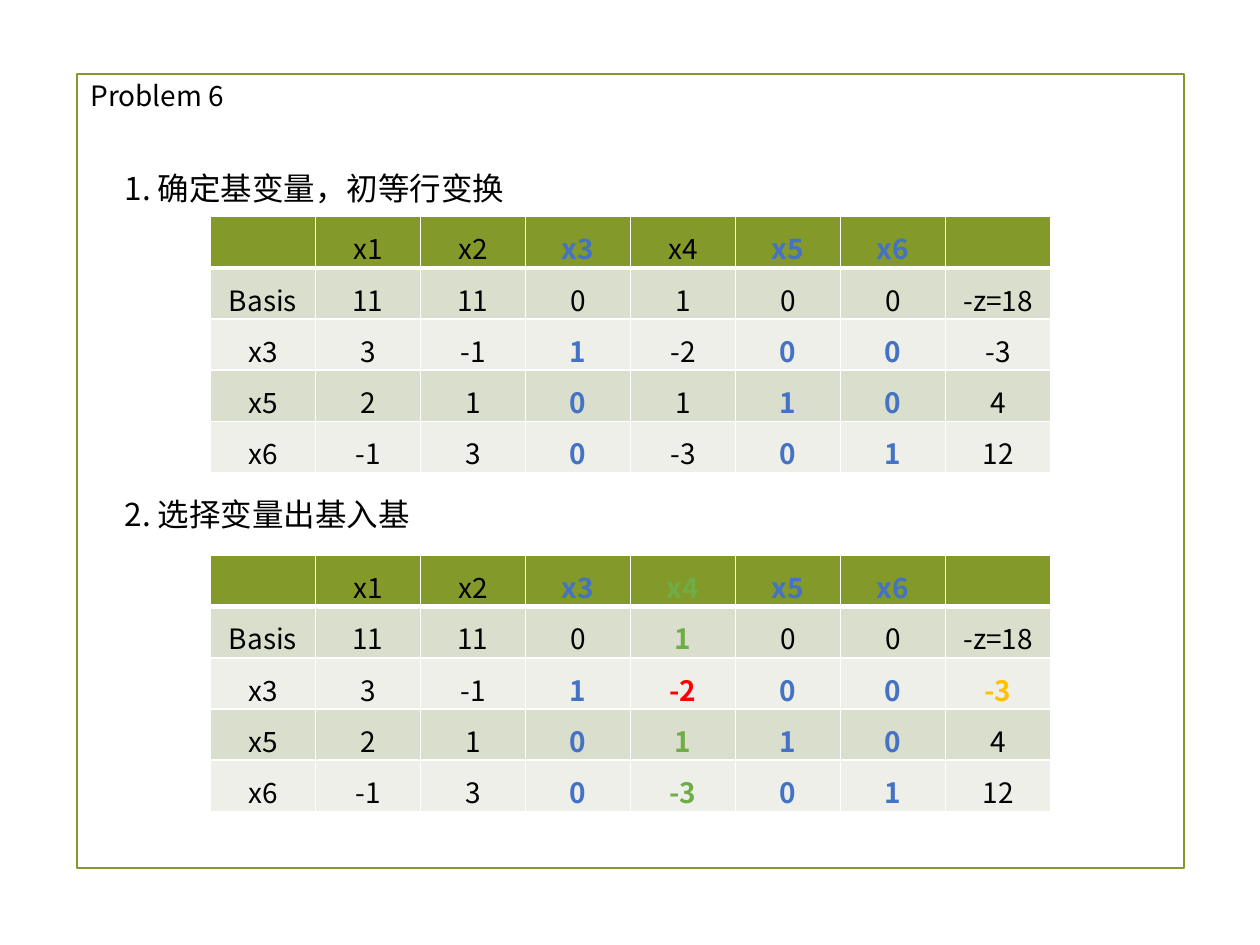
from lxml.etree import SubElement
from pptx import Presentation
from pptx.dml.color import RGBColor
from pptx.enum.shapes import MSO_SHAPE
from pptx.enum.text import MSO_ANCHOR, PP_ALIGN
from pptx.oxml.ns import qn
from pptx.util import Inches, Pt

FONT = "Noto Sans CJK SC"
COLORS = {
    "olive": "83992A", "band": "D9DECD", "pale": "EDEFE8", "white": "FFFFFF",
    "black": "000000", "blue": "4472C4", "green": "70AD47", "red": "FF0000",
    "amber": "FFC000",
}
TABLEAU = [
    ["", "x1", "x2", "x3", "x4", "x5", "x6", ""],
    ["Basis", "11", "11", "0", "1", "0", "0", "-z=18"],
    ["x3", "3", "-1", "1", "-2", "0", "0", "-3"],
    ["x5", "2", "1", "0", "1", "1", "0", "4"],
    ["x6", "-1", "3", "0", "-3", "0", "1", "12"],
]
BASIS = {(row, col): "blue" for row in (0, 2, 3, 4) for col in (3, 5, 6)}
ENTERING = {(row, 4): "green" for row in range(len(TABLEAU))}
PIVOT = BASIS | ENTERING | {(2, 4): "red", (2, 7): "amber"}


def rgb(name):
    """Return the named colour."""
    return RGBColor.from_string(COLORS[name])


def add_run(p, text, size, color="black", bold=False):
    """Add a formatted run to a paragraph."""
    r = p.add_run()
    r.text = text
    r.font.size, r.font.bold, r.font.name = Pt(size), bold, FONT
    r.font.color.rgb = rgb(color)
    SubElement(r.font._element, qn("a:ea"), typeface=FONT)


def add_frame(s, x, y, w, h):
    """Draw the outline around the slide content."""
    sp = s.shapes.add_shape(MSO_SHAPE.RECTANGLE, Inches(x), Inches(y), Inches(w), Inches(h))
    sp.shadow.inherit = False
    sp.fill.background()
    sp.line.color.rgb = rgb("olive")
    sp.line.width = Pt(1.25)


def add_label(s, x, y, w, h, text, size, anchor=MSO_ANCHOR.TOP):
    """Place one line of text in the given box."""
    tf = s.shapes.add_textbox(Inches(x), Inches(y), Inches(w), Inches(h)).text_frame
    tf.word_wrap = True
    tf.vertical_anchor = anchor
    add_run(tf.paragraphs[0], text, size)


def add_borders(cell, row):
    """Rule a cell in white, with a thick line below the header."""
    widths = {"lnL": 1, "lnR": 1, "lnT": 3 if row == 1 else 1, "lnB": 3 if row == 0 else 1}
    for tag, width in widths.items():
        ln = SubElement(cell._tc.get_or_add_tcPr(), qn(f"a:{tag}"), w=str(Pt(width)))
        SubElement(SubElement(ln, qn("a:solidFill")), qn("a:srgbClr"), val=COLORS["white"])


def fill_cell(cell, row, text, color):
    """Format one tableau cell and write its value."""
    add_borders(cell, row)
    cell.fill.solid()
    cell.fill.fore_color.rgb = rgb("olive" if row == 0 else "band" if row % 2 else "pale")
    cell.margin_left = cell.margin_right = cell.margin_top = Inches(0.01)
    cell.margin_bottom = 0
    cell.vertical_anchor = MSO_ANCHOR.BOTTOM
    p = cell.text_frame.paragraphs[0]
    p.alignment = PP_ALIGN.CENTER
    if text:
        add_run(p, text, 16, color, color != "black")


def add_tableau(s, x, y, w, h, highlights):
    """Place the simplex tableau with its highlighted cells."""
    table = s.shapes.add_table(
        len(TABLEAU), len(TABLEAU[0]), Inches(x), Inches(y), Inches(w), Inches(h)).table
    for row, values in enumerate(TABLEAU):
        for col, text in enumerate(values):
            fill_cell(table.cell(row, col), row, text, highlights.get((row, col), "black"))


def main():
    """Build and save the slide."""
    prs = Presentation()
    prs.slide_width, prs.slide_height = Inches(10), Inches(7.5)
    s = prs.slides.add_slide(prs.slide_layouts[6])
    add_frame(s, 0.61, 0.59, 8.79, 6.3)
    add_label(s, 0.62, 0.6, 5.58, 0.31, "Problem 6", 16, MSO_ANCHOR.MIDDLE)
    steps = [
        ("1. 确定基变量，初等行变换", 1.29, 1.72, BASIS),
        ("2. 选择变量出基入基", 3.88, 4.41, PIVOT),
    ]
    for heading, heading_y, table_y, highlights in steps:
        add_label(s, 0.89, heading_y, 8.22, 0.4, heading, 18)
        add_tableau(s, 1.67, table_y, 6.67, 2.03, highlights)
    prs.save("out.pptx")


if __name__ == "__main__":
    main()
